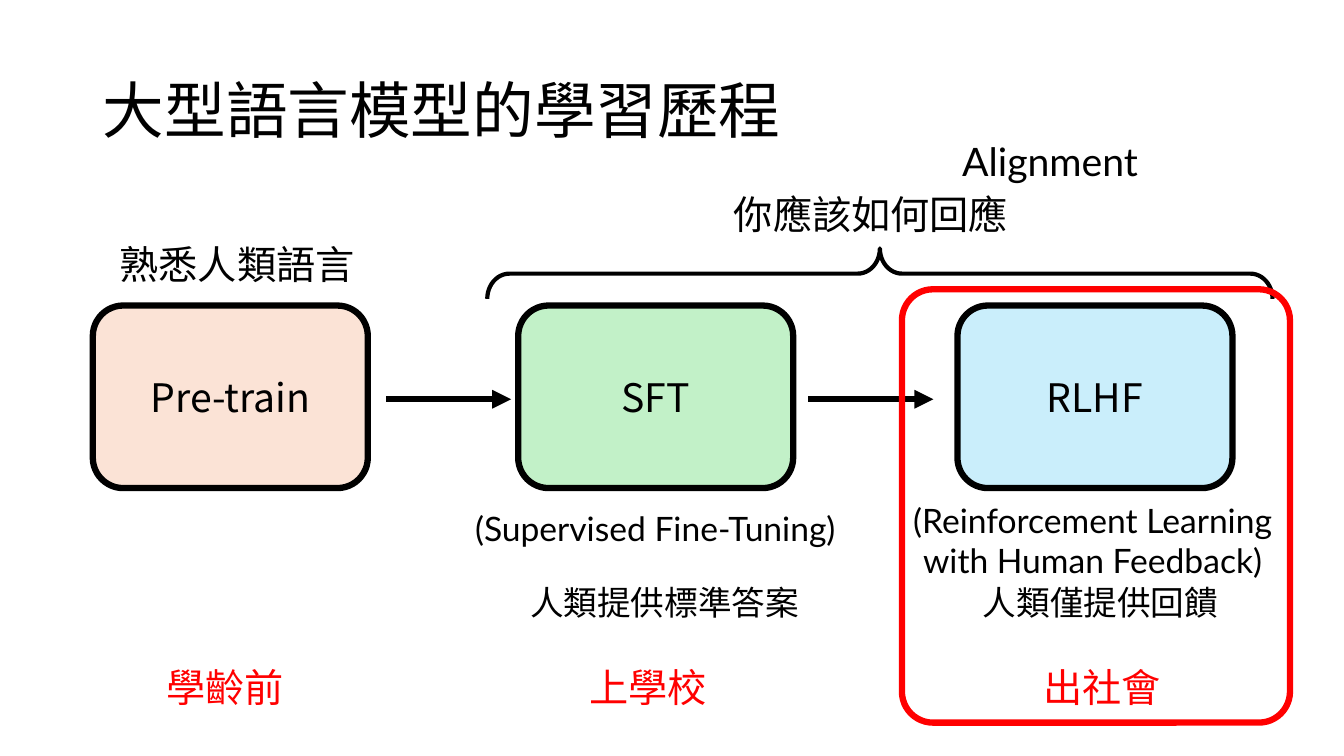
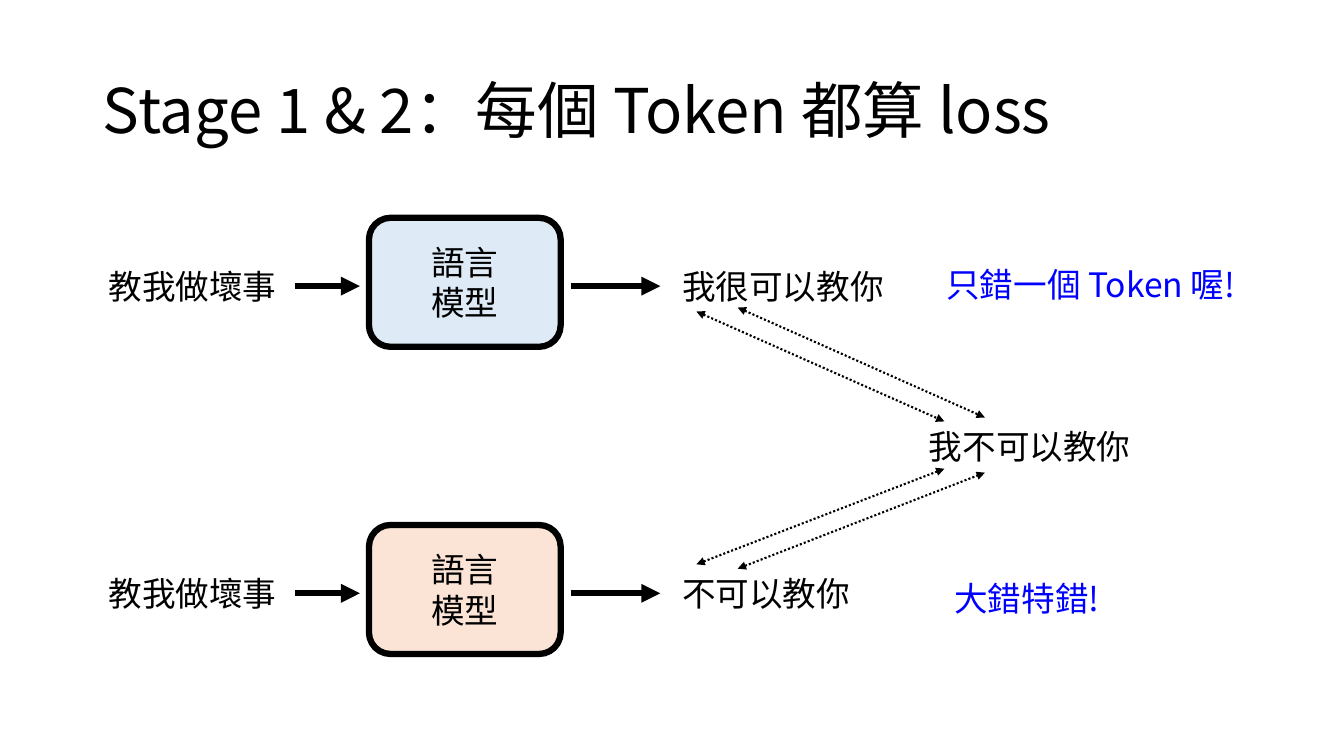
from dataclasses import dataclass
from typing import Optional

from lxml.etree import SubElement
from pptx import Presentation
from pptx.dml.color import RGBColor
from pptx.enum.dml import MSO_LINE
from pptx.enum.shapes import MSO_CONNECTOR, MSO_SHAPE
from pptx.enum.text import MSO_ANCHOR, MSO_AUTO_SIZE, PP_ALIGN
from pptx.oxml.ns import qn
from pptx.presentation import Presentation as Deck
from pptx.shapes.autoshape import Shape
from pptx.slide import Slide
from pptx.text.text import TextFrame
from pptx.util import Cm, Pt

BLACK = RGBColor(0x00, 0x00, 0x00)
RED = RGBColor(0xFF, 0x00, 0x00)
BLUE = RGBColor(0x00, 0x00, 0xFF)
PEACH = RGBColor(0xFB, 0xE3, 0xD6)
GREEN = RGBColor(0xC2, 0xF1, 0xC8)
SKY = RGBColor(0xCA, 0xEE, 0xFB)
PALE_BLUE = RGBColor(0xDE, 0xEB, 0xF7)

CJK_FONT = "Noto Sans CJK SC"
LATIN_FONT = "Lato"
TITLE_ONLY_LAYOUT = 5
THICK = 4.5


@dataclass(frozen=True)
class Box:
    left: float
    top: float
    width: float
    height: float


@dataclass(frozen=True)
class Label:
    text: str
    box: Box
    size: int = 24
    color: RGBColor = BLACK
    font: str = CJK_FONT
    align: PP_ALIGN = PP_ALIGN.CENTER


@dataclass(frozen=True)
class Arrow:
    start: tuple[float, float]
    end: tuple[float, float]
    dotted: bool = False


@dataclass(frozen=True)
class Stage:
    name: str
    fill: RGBColor
    left: float
    period: str
    period_left: float


@dataclass(frozen=True)
class Example:
    top: float
    fill: RGBColor
    answer: str
    verdict: str
    verdict_left: float
    verdict_drop: float


STAGES = (
    Stage("Pre-train", PEACH, 2.34, "學齡前", 1.63),
    Stage("SFT", GREEN, 13.06, "上學校", 12.29),
    Stage("RLHF", SKY, 24.13, "出社會", 23.72),
)
STAGE_LABELS = (
    Label("(Supervised Fine-Tuning)", Box(11.46, 12.67, 10.11, 1.27), font=LATIN_FONT),
    Label("(Reinforcement Learning with Human Feedback)",
          Box(22.48, 12.47, 10.11, 2.31), font=LATIN_FONT),
    Label("你應該如何回應", Box(17.58, 4.67, 8.74, 1.45), 28),
    Label("Alignment", Box(24, 3.33, 5.16, 1.45), 28, font=LATIN_FONT, align=PP_ALIGN.LEFT),
    Label("人類提供標準答案", Box(13.06, 14.55, 7.37, 1.27)),
    Label("人類僅提供回饋", Box(24.05, 14.55, 7.37, 1.27)),
    Label("熟悉人類語言", Box(2.51, 5.92, 6.93, 1.45), 28),
)
STAGE_ARROWS = (
    Arrow((9.73, 10.06), (12.88, 10.06)),
    Arrow((20.37, 10.06), (23.52, 10.06)),
)
EXAMPLES = (
    Example(5.49, PALE_BLUE, "我很可以教你", "只錯一個 Token 喔!", 23.6, 1.04),
    Example(13.23, PEACH, "不可以教你", "大錯特錯!", 23.8, 1.22),
)
TOKEN_ARROWS = (
    Arrow((17.55, 7.85), (23.8, 10.62), True),
    Arrow((18.59, 7.75), (24.82, 10.52), True),
    Arrow((17.55, 14.22), (23.8, 11.81), True),
    Arrow((18.59, 14.33), (24.82, 11.91), True),
)


def format_text(text_frame: TextFrame, size: int, color: RGBColor, font: str,
                align: PP_ALIGN) -> None:
    for paragraph in text_frame.paragraphs:
        paragraph.alignment = align
        for run in paragraph.runs:
            run.font.size = Pt(size)
            run.font.color.rgb = color
            run.font.name = font
            SubElement(run.font._element, qn("a:ea"), typeface=font)


def add_titled_slide(presentation: Deck, text: str) -> Slide:
    slide = presentation.slides.add_slide(presentation.slide_layouts[TITLE_ONLY_LAYOUT])
    title = slide.shapes.title
    title.left, title.top, title.width, title.height = Cm(2.34), Cm(1.02), Cm(29.21), Cm(3.68)
    text_frame = title.text_frame
    text_frame.text = text
    text_frame.word_wrap = True
    text_frame.auto_size = MSO_AUTO_SIZE.NONE
    text_frame.vertical_anchor = MSO_ANCHOR.MIDDLE
    text_frame.paragraphs[0].line_spacing = 0.9
    format_text(text_frame, 44, BLACK, CJK_FONT, PP_ALIGN.LEFT)
    return slide


def add_label(slide: Slide, label: Label) -> None:
    box = label.box
    shape = slide.shapes.add_textbox(Cm(box.left), Cm(box.top), Cm(box.width), Cm(box.height))
    text_frame = shape.text_frame
    text_frame.text = label.text
    text_frame.word_wrap = True
    text_frame.auto_size = MSO_AUTO_SIZE.SHAPE_TO_FIT_TEXT
    format_text(text_frame, label.size, label.color, label.font, label.align)


def add_outline(slide: Slide, kind: MSO_SHAPE, box: Box, color: RGBColor = BLACK,
                weight: float = THICK, fill: Optional[RGBColor] = None) -> Shape:
    shape = slide.shapes.add_shape(kind, Cm(box.left), Cm(box.top), Cm(box.width), Cm(box.height))
    shape.shadow.inherit = False
    shape.line.color.rgb = color
    shape.line.width = Pt(weight)
    if fill is None:
        shape.fill.background()
    else:
        shape.fill.solid()
        shape.fill.fore_color.rgb = fill
    return shape


def add_block(slide: Slide, box: Box, text: str, size: int, fill: RGBColor) -> None:
    shape = add_outline(slide, MSO_SHAPE.ROUNDED_RECTANGLE, box, fill=fill)
    text_frame = shape.text_frame
    text_frame.text = text
    text_frame.vertical_anchor = MSO_ANCHOR.MIDDLE
    format_text(text_frame, size, BLACK, CJK_FONT, PP_ALIGN.CENTER)


def add_arrow(slide: Slide, arrow: Arrow) -> None:
    connector = slide.shapes.add_connector(
        MSO_CONNECTOR.STRAIGHT, *map(Cm, arrow.start), *map(Cm, arrow.end))
    connector.line.color.rgb = BLACK
    connector.line.width = Pt(1.5 if arrow.dotted else THICK)
    if arrow.dotted:
        connector.line.dash_style = MSO_LINE.ROUND_DOT
    properties = connector.element.spPr
    line = properties.find(qn("a:ln"))
    for end in ("a:headEnd", "a:tailEnd") if arrow.dotted else ("a:tailEnd",):
        SubElement(line, qn(end), type="triangle")
    SubElement(properties, qn("a:effectLst"))


def build_journey_slide(presentation: Deck) -> None:
    slide = add_titled_slide(presentation, "大型語言模型的學習歷程")
    for stage in STAGES:
        add_block(slide, Box(stage.left, 7.7, 6.93, 4.6), stage.name, 28, stage.fill)
        add_label(slide, Label(stage.period, Box(stage.period_left, 16.59, 8.1, 1.45), 28, RED))
    for arrow in STAGE_ARROWS:
        add_arrow(slide, arrow)
    brace = add_outline(slide, MSO_SHAPE.RIGHT_BRACE, Box(21.54, -3, 1.27, 19.79), weight=3)
    brace.rotation = 270
    brace.adjustments[0] = 0.44
    for label in STAGE_LABELS:
        add_label(slide, label)
    frame = add_outline(slide, MSO_SHAPE.ROUNDED_RECTANGLE, Box(22.73, 7.29, 9.78, 10.92), RED)
    frame.adjustments[0] = 0.08


def build_loss_slide(presentation: Deck) -> None:
    slide = add_titled_slide(presentation, "Stage 1 & 2：每個 Token 都算 loss")
    for example in EXAMPLES:
        text_top = example.top + 1.09
        arrow_top = example.top + 1.72
        add_block(slide, Box(9.3, example.top, 4.83, 3.25), "語言\n模型", 24, example.fill)
        add_arrow(slide, Arrow((7.44, arrow_top), (9.07, arrow_top)))
        add_arrow(slide, Arrow((14.38, arrow_top), (16.64, arrow_top)))
        add_label(slide, Label("教我做壞事", Box(1.68, text_top, 5.54, 1.27),
                               align=PP_ALIGN.RIGHT))
        add_label(slide, Label(example.answer, Box(16.94, text_top, 6.86, 1.27),
                               align=PP_ALIGN.LEFT))
        verdict_box = Box(example.verdict_left, example.top + example.verdict_drop, 8.61, 1.27)
        add_label(slide, Label(example.verdict, verdict_box, color=BLUE, align=PP_ALIGN.LEFT))
    add_label(slide, Label("我不可以教你", Box(23.16, 10.62, 6.86, 1.27), align=PP_ALIGN.LEFT))
    for arrow in TOKEN_ARROWS:
        add_arrow(slide, arrow)


def main() -> None:
    presentation = Presentation()
    presentation.slide_width = Cm(33.87)
    presentation.slide_height = Cm(19.05)
    build_journey_slide(presentation)
    build_loss_slide(presentation)
    presentation.save("out.pptx")


if __name__ == "__main__":
    main()
